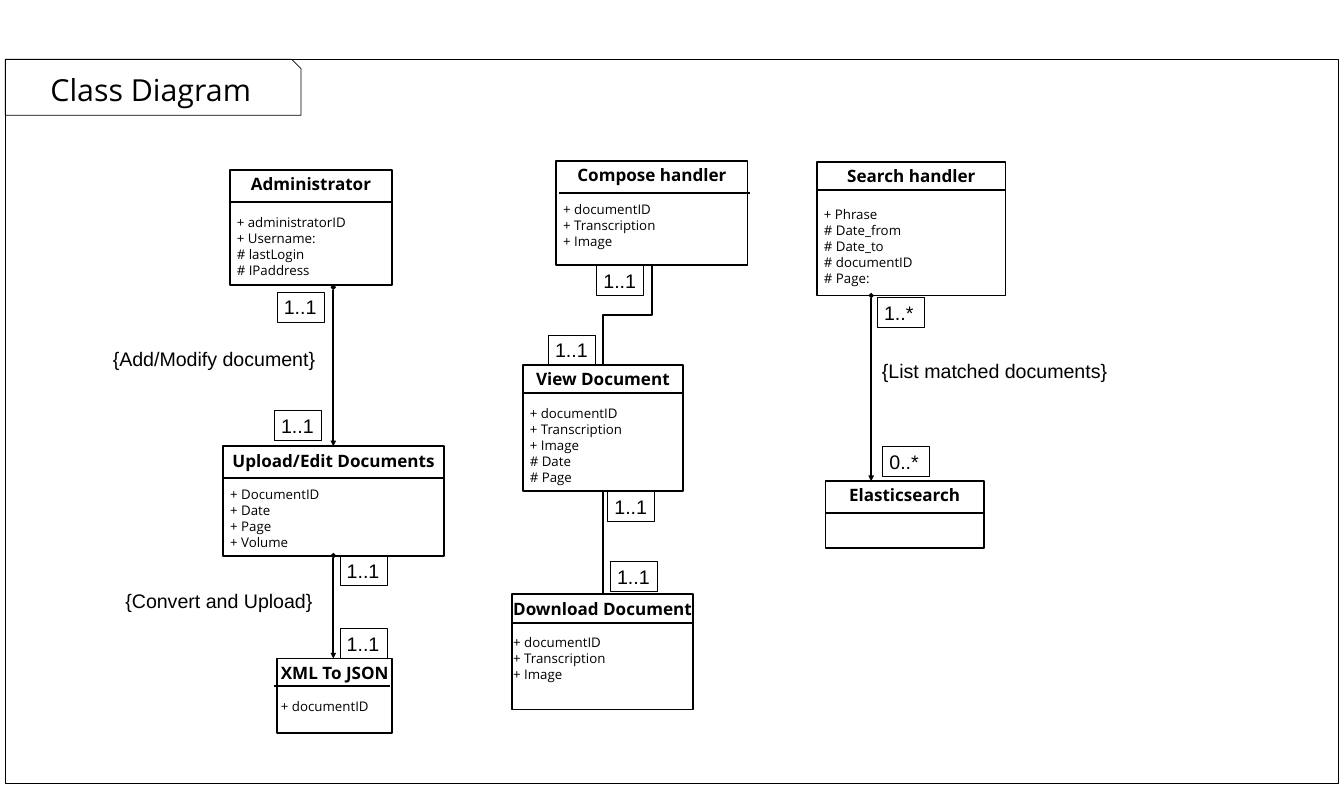
"""Build a UML class diagram slide."""
from dataclasses import dataclass

from pptx import Presentation
from pptx.dml.color import RGBColor
from pptx.enum.shapes import MSO_CONNECTOR, MSO_SHAPE
from pptx.enum.text import MSO_ANCHOR, MSO_AUTO_SIZE, PP_ALIGN
from pptx.oxml.ns import qn
from pptx.shapes.autoshape import Shape
from pptx.shapes.connector import Connector
from pptx.slide import Slide
from pptx.text.text import TextFrame
from pptx.util import Cm, Pt
from lxml import etree

RECTANGLE = MSO_SHAPE.RECTANGLE
SNIPPED = MSO_SHAPE.SNIP_1_RECTANGLE
STRAIGHT, ELBOW = MSO_CONNECTOR.STRAIGHT, MSO_CONNECTOR.ELBOW
LEFT, CENTER = PP_ALIGN.LEFT, PP_ALIGN.CENTER
TOP, MIDDLE = MSO_ANCHOR.TOP, MSO_ANCHOR.MIDDLE
FIT_SHAPE = MSO_AUTO_SIZE.SHAPE_TO_FIT_TEXT

BLACK = RGBColor(0x00, 0x00, 0x00)
WHITE = RGBColor(0xFF, 0xFF, 0xFF)
CLASS_FONT, LABEL_FONT = "Open Sans", "Arial"
TITLE_SIZE, MEMBER_SIZE, LABEL_SIZE = 18, 14, 20.7
TITLE_SPACING, MEMBER_SPACING = 22, 16.8
LABEL_HEIGHT, MULTIPLICITY_WIDTH = 1.12, 1.75


@dataclass(frozen=True)
class ClassBox:
    """A class with its divider and members."""
    name: str
    left: float
    top: float
    width: float
    height: float
    divider: float
    members: tuple[str, ...] = ()
    gap: float = 16.8
    divider_shift: float = 0


@dataclass(frozen=True)
class Label:
    """A multiplicity or constraint label."""
    text: str
    left: float
    top: float
    width: float = MULTIPLICITY_WIDTH
    framed: bool = True


@dataclass(frozen=True)
class Link:
    """A vertical link between two classes."""
    x: float
    top: float
    bottom: float
    composed: bool = True


CLASSES = (
    ClassBox("Search handler", 30.4, 6.02, 7.01, 4.98, 1.04,
             ("+ Phrase", "# Date_from", "# Date_to", "# documentID", "# Page:"), 21.6),
    ClassBox("View Document", 19.46, 13.59, 5.94, 4.7, 1.04,
             ("+ documentID", "+ Transcription", "+ Image", "# Date", "# Page")),
    ClassBox("Download Document", 19.05, 22.12, 6.73, 4.29, 1.07,
             ("+ documentID", "+ Transcription", "+ Image")),
    ClassBox("Administrator", 8.56, 6.32, 6.02, 4.29, 1.2,
             ("+ administratorID", "+ Username:", "# lastLogin", "# IPaddress"), 21.6),
    ClassBox("Upload/Edit Documents", 8.31, 16.61, 8.2, 4.09, 1.17,
             ("+ DocumentID", "+ Date", "+ Page", "+ Volume")),
    ClassBox("Compose handler", 20.7, 5.99, 7.11, 3.89, 1.2,
             ("+ documentID", "+ Transcription", "+ Image"), divider_shift=0.1),
    ClassBox("Elasticsearch", 30.71, 17.91, 5.89, 2.49, 1.19),
    ClassBox("XML To JSON", 10.31, 24.51, 4.29, 2.77, 1.04,
             ("+ documentID",), divider_shift=-0.1),
)
LABELS = (
    Label("1..1", 10.31, 10.87),
    Label("1..1", 10.21, 15.29),
    Label("1..1", 12.65, 20.68),
    Label("1..1", 12.65, 23.39),
    Label("1..1", 22.2, 9.88),
    Label("1..1", 20.4, 12.47),
    Label("1..1", 22.61, 18.29),
    Label("1..1", 22.71, 20.9),
    Label("1..*", 32.64, 11.07),
    Label("0..*", 32.84, 16.61),
    Label("{Add/Modify document}", 3.91, 12.8, 8.1, False),
    Label("{List matched documents}", 31.6, 13.23, 10.8, False),
    Label("{Convert and Upload}", 3.99, 21.79, 8.31, False),
)
LINKS = (
    Link(12.4, 10.69, 16.61),
    Link(12.4, 20.68, 24.51),
    Link(32.41, 11, 17.91),
    Link(22.43, 18.29, 22.12, False),
)


def add_box(slide: Slide, kind: MSO_SHAPE, left: float, top: float,
            width: float, height: float, line_width: float) -> Shape:
    """Add an unfilled shape with a black outline."""
    shape = slide.shapes.add_shape(kind, Cm(left), Cm(top), Cm(width), Cm(height))
    shape.shadow.inherit = False
    shape.fill.background()
    shape.line.color.rgb = BLACK
    shape.line.width = Pt(line_width)
    return shape


def add_text(frame: TextFrame, text: str, font: str, size: float, alignment: PP_ALIGN,
             bold: bool = False, spacing: float = 0, gap: float = 0) -> None:
    """Write one paragraph, using the first one while it is empty."""
    first = frame.paragraphs[0]
    paragraph = frame.add_paragraph() if first.runs else first
    paragraph.alignment = alignment
    if spacing:
        paragraph.line_spacing = Pt(spacing)
    if gap:
        paragraph.space_before = Pt(gap)
    run = paragraph.add_run()
    run.text = text
    run.font.name = font
    run.font.size = Pt(size)
    run.font.bold = bold
    run.font.color.rgb = BLACK


def add_line(slide: Slide, kind: MSO_CONNECTOR, start: tuple[float, float],
             end: tuple[float, float], width: float) -> Connector:
    """Add a black connector without a shadow."""
    connector = slide.shapes.add_connector(
        kind, Cm(start[0]), Cm(start[1]), Cm(end[0]), Cm(end[1]))
    connector.line.color.rgb = BLACK
    connector.line.width = Pt(width)
    etree.SubElement(connector._element.spPr, qn("a:effectLst"))
    return connector


def add_class(slide: Slide, item: ClassBox) -> None:
    """Draw a class box, its text and its divider."""
    shape = add_box(slide, RECTANGLE, item.left, item.top, item.width, item.height, 2)
    shape.fill.solid()
    shape.fill.fore_color.rgb = WHITE
    frame = shape.text_frame
    frame.word_wrap = False
    frame.vertical_anchor = TOP
    add_text(frame, item.name, CLASS_FONT, TITLE_SIZE, CENTER, True, TITLE_SPACING)
    for index, member in enumerate(item.members):
        add_text(frame, member, CLASS_FONT, MEMBER_SIZE, LEFT,
                 spacing=MEMBER_SPACING, gap=0 if index else item.gap)
    left, y = item.left + item.divider_shift, item.top + item.divider
    add_line(slide, STRAIGHT, (left, y), (left + item.width, y), 2)


def add_label(slide: Slide, label: Label) -> None:
    """Draw a framed multiplicity or a plain constraint."""
    if label.framed:
        shape = add_box(slide, RECTANGLE, label.left, label.top, label.width, LABEL_HEIGHT, 0)
    else:
        shape = slide.shapes.add_textbox(
            Cm(label.left), Cm(label.top), Cm(label.width), Cm(LABEL_HEIGHT))
    frame = shape.text_frame
    frame.word_wrap = True
    frame.auto_size = FIT_SHAPE
    frame.vertical_anchor = TOP
    add_text(frame, label.text, LABEL_FONT, LABEL_SIZE, LEFT if label.framed else CENTER)


def add_link(slide: Slide, link: Link) -> None:
    """Draw a vertical link, with diamond and arrow if composed."""
    connector = add_line(slide, STRAIGHT, (link.x, link.top), (link.x, link.bottom), 0)
    if link.composed:
        line = connector.line._get_or_add_ln()
        for tag, kind in (("a:headEnd", "diamond"), ("a:tailEnd", "triangle")):
            etree.SubElement(line, qn(tag), type=kind)


def main() -> None:
    """Create and save the presentation."""
    presentation = Presentation()
    presentation.slide_width, presentation.slide_height = Cm(50), Cm(30)
    slide = presentation.slides.add_slide(presentation.slide_layouts[6])
    tag = add_box(slide, SNIPPED, 0.2, 2.21, 11, 2.08, 0)
    frame = tag.text_frame
    frame.margin_left = frame.margin_right = frame.margin_top = frame.margin_bottom = 0
    frame.vertical_anchor = MIDDLE
    add_text(frame, "Class Diagram", CLASS_FONT, 32, CENTER)
    add_box(slide, RECTANGLE, 0.2, 2.21, 49.58, 26.97, 1)
    for item in CLASSES:
        add_class(slide, item)
    for label in LABELS:
        add_label(slide, label)
    for link in LINKS:
        add_link(slide, link)
    bend = add_line(slide, ELBOW, (21.49, 10.82), (25.2, 12.65), 0)
    bend._element.spPr.find(qn("a:xfrm")).set("rot", "5400000")
    presentation.save("out.pptx")


if __name__ == "__main__":
    main()
